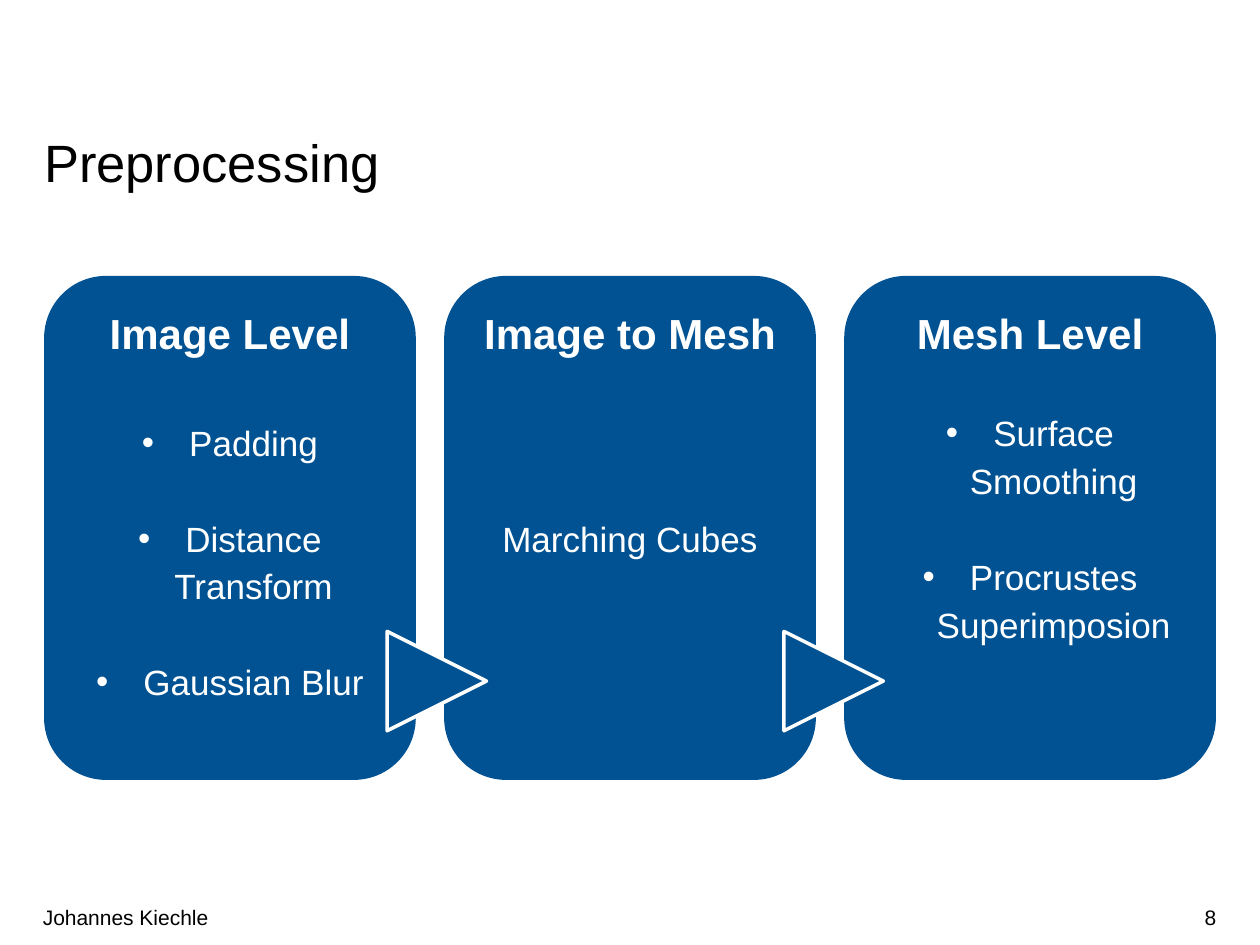
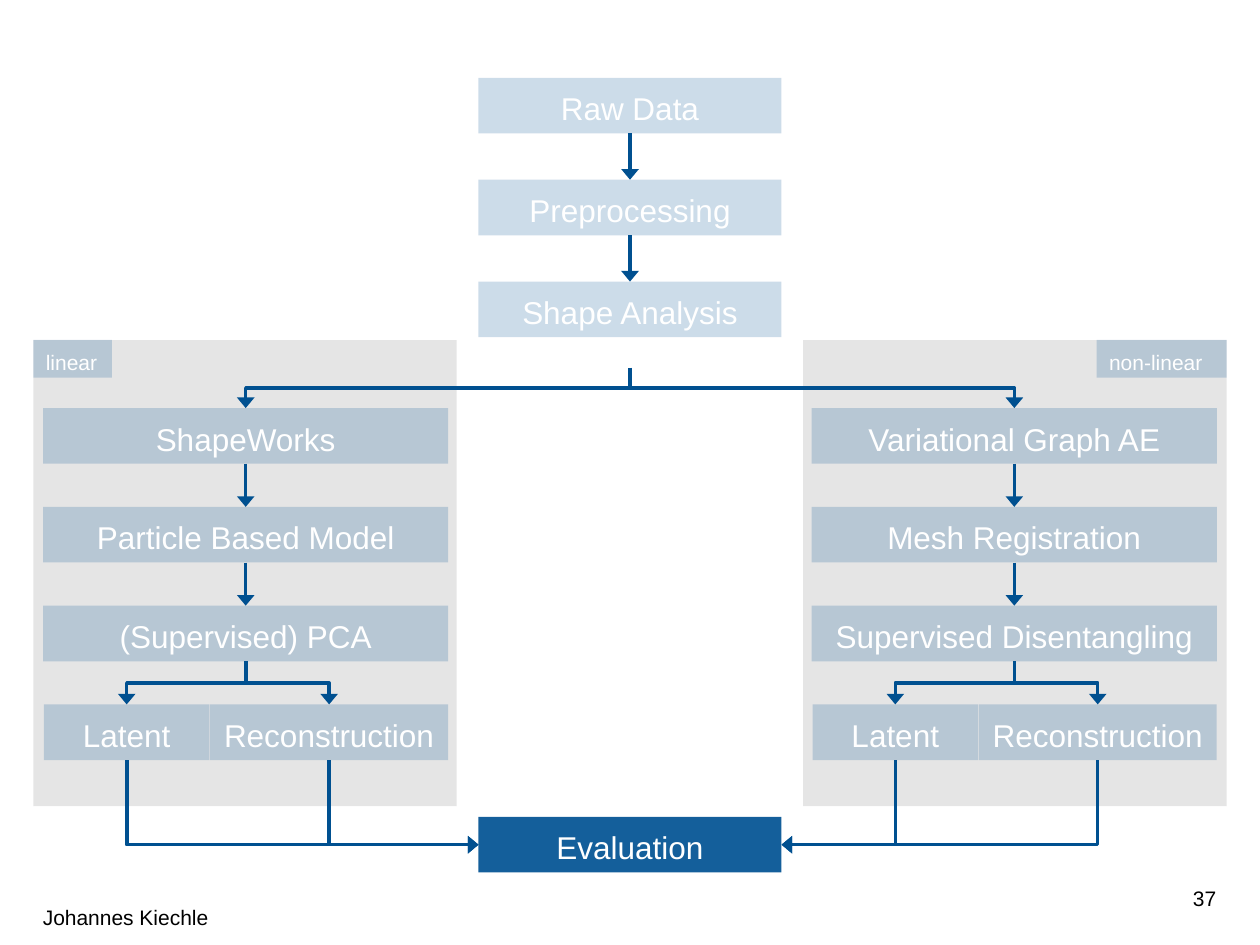
from dataclasses import dataclass
from itertools import pairwise

from lxml.etree import SubElement as Sub
from pptx import Presentation
from pptx.dml.color import RGBColor as Rgb
from pptx.enum.shapes import MSO_CONNECTOR as Link, MSO_SHAPE as Form
from pptx.enum.text import MSO_ANCHOR as Anchor, PP_ALIGN as Align
from pptx.oxml.ns import qn
from pptx.util import Pt


@dataclass(frozen=True)
class Theme:
    """Hold the shared colours, font and type sizes."""
    blue: Rgb = Rgb(0x00, 0x52, 0x93)
    wire: Rgb = Rgb(0x00, 0x50, 0x90)
    grey: Rgb = Rgb(0x80, 0x80, 0x80)
    white: Rgb = Rgb(0xFF, 0xFF, 0xFF)
    black: Rgb = Rgb(0, 0, 0)
    face: str = "Arial"
    title: int = 30
    head: int = 24
    body: int = 20
    step: int = 18
    small: int = 12
    lead: float = 1.14
    stroke: int = 2


T = Theme()


def apply(item, values):
    """Set each attribute named in a dict."""
    for key, value in values.items():
        setattr(item, key, value)


def place(item, left, top, width, height):
    """Put an item at a place given in points."""
    apply(item, {"left": Pt(left), "top": Pt(top), "width": Pt(width), "height": Pt(height)})


def write(para, text, size, color=T.white, bold=False, align=Align.CENTER, lead=T.lead, gap=0):
    """Fill one paragraph with styled text."""
    para.text = text
    apply(para, {"alignment": align, "line_spacing": lead, "space_before": Pt(gap)})
    apply(para.font, {"name": T.face, "size": Pt(size), "bold": bold})
    para.font.color.rgb = color


def bullet(para, indent=27):
    """Give a paragraph a hanging bullet."""
    props = para._p.get_or_add_pPr()
    props.set("marL", str(Pt(indent)))
    props.set("indent", str(Pt(-indent)))
    Sub(props, qn("a:buFont")).set("typeface", T.face)
    Sub(props, qn("a:buChar")).set("char", "•")


def block(slide, form, box, color=T.blue, alpha=100):
    """Add a flat filled shape and return it."""
    shape = slide.shapes.add_shape(form, *map(Pt, box))
    shape.shadow.inherit = False
    shape.fill.solid()
    shape.fill.fore_color.rgb = color
    if alpha < 100:
        paint = shape._element.spPr.find(".//" + qn("a:srgbClr"))
        Sub(paint, qn("a:alpha")).set("val", str(alpha * 1000))
    shape.line.fill.background()
    apply(shape.text_frame, {"vertical_anchor": Anchor.TOP, "word_wrap": True})
    return shape


def node(slide, text, box, alpha=20, size=T.step, align=Align.CENTER):
    """Add a flow box with one line of text."""
    shape = block(slide, Form.RECTANGLE, box, alpha=alpha)
    write(shape.text_frame.paragraphs[0], text, size, align=align)


def card(slide, box, head, items, gaps, dots):
    """Add a rounded card with a heading and its items."""
    frame = block(slide, Form.ROUNDED_RECTANGLE, box).text_frame
    write(frame.paragraphs[0], head, T.head, bold=True)
    for item, gap in zip(items, gaps):
        para = frame.add_paragraph()
        if dots:
            bullet(para)
        write(para, item, T.body, gap=gap)


def wedge(slide, box):
    """Add an outlined triangle that points right."""
    shape = block(slide, Form.ISOSCELES_TRIANGLE, box)
    shape.rotation = 90
    shape.line.color.rgb = T.white
    shape.line.width = Pt(T.stroke)


def label(slide, text, box, align):
    """Add one footer text."""
    frame = slide.shapes.add_textbox(*map(Pt, box)).text_frame
    apply(frame, {"word_wrap": True, "vertical_anchor": Anchor.MIDDLE,
                  "margin_left": 0, "margin_right": 0})
    write(frame.paragraphs[0], text, T.small, T.black, align=align, lead=1.0)


def footer(slide, number, top=509.8):
    """Add the author and the page number."""
    label(slide, "Johannes Kiechle", (24.5, 509.8, 509, 28.8), Align.LEFT)
    label(slide, number, (533.5, top, 161.5, 28.8), Align.RIGHT)


def arrow(slide, start, end, kind=Link.STRAIGHT):
    """Add an arrow between two points and return it."""
    link = slide.shapes.add_connector(kind, *map(Pt, start + end))
    link.line.color.rgb = T.wire
    link.line.width = Pt(T.stroke)
    props = link._element.spPr
    tip = Sub(props.find(qn("a:ln")), qn("a:tailEnd"))
    for key, value in {"type": "triangle", "w": "lg", "len": "med"}.items():
        tip.set(key, value)
    Sub(props, qn("a:effectLst"))
    return link


def bend(slide, start, end, form="bentConnector3"):
    """Add an elbow arrow that leaves its start downwards."""
    link = arrow(slide, start, end, Link.ELBOW)
    (x, y), (u, v) = start, end
    long, wide = v - y, abs(u - x)
    place(link, (x + u - long) / 2, (y + v - wide) / 2, long, wide)
    props = link._element.spPr
    props.find(qn("a:prstGeom")).set("prst", form)
    frame = props.find(qn("a:xfrm"))
    frame.attrib.pop("flipH", None)
    frame.set("rot", str((270 if u > x else 90) * 60000))
    if u > x:
        frame.set("flipH", "1")


def stack(slide, names, left, top, width, height, step):
    """Add a column of boxes joined by arrows."""
    tops = [top + i * step for i in range(len(names))]
    for name, y in zip(names, tops):
        node(slide, name, (left, y, width, height))
    mid = left + width / 2
    for y, below in pairwise(tops):
        arrow(slide, (mid, y + height), (mid, below))


def lane(slide, names, shift, fork, goal):
    """Add one branch of the flow, from the fork to the goal."""
    top, high, step = 233.2, 31.8, 56.45
    trunk, last = 140.4 + shift, top + 3 * step
    bend(slide, fork, (trunk, top))
    stack(slide, names, 24.6 + shift, top, 231.6, high, step)
    for name, left, width in (("Latent", 25.1, 94.6), ("Reconstruction", 120, 136.1)):
        node(slide, name, (left + shift, last, width, high))
        mid = left + shift + width / 2
        bend(slide, (trunk, last - step + high), (mid, last))
        bend(slide, (mid, last + high), goal, "bentConnector2")


def steps(deck):
    """Build the slide on preprocessing."""
    slide = deck.slides.add_slide(deck.slide_layouts[5])
    title = slide.shapes.title
    place(title, 25.2, 78.5, 670.3, 32.4)
    apply(title.text_frame, {"margin_left": 0, "margin_top": 0, "margin_right": 0,
                             "margin_bottom": 0, "vertical_anchor": Anchor.TOP})
    write(title.text_frame.paragraphs[0], "Preprocessing", T.title, T.black,
          align=Align.LEFT, lead=Pt(32))
    cards = (
        ("Image Level", ("Padding", "Distance Transform", "Gaussian Blur"), (33, 27.4, 27.4), True),
        ("Image to Mesh", ("Marching Cubes",), (88,), False),
        ("Mesh Level", ("Surface Smoothing", "Procrustes Superimposion"), (27.4, 27.4), True),
    )
    for i, parts in enumerate(cards):
        card(slide, (25.2 + i * 228.6, 157.7, 212.4, 288), *parts)
    for i in range(2):
        wedge(slide, (221.2 + i * 226.8, 360.8, 56.8, 56.8))
    footer(slide, "8")


def flow(deck):
    """Build the slide with the whole pipeline."""
    slide = deck.slides.add_slide(deck.slide_layouts[6])
    edge, wide, full = 19.1, 241.9, 720
    for left in (edge, full - edge - wide):
        block(slide, Form.RECTANGLE, (left, 194.4, wide, 266.2), T.grey, 20)
    footer(slide, "37", 499)
    left, width, high, base = 273.4, 173.2, 31.8, 466.8
    stack(slide, ("Raw Data", "Preprocessing", "Shape Analysis"), left, 44.5, width, high, 58.2)
    node(slide, "Evaluation", (left, base, width, high), 92)
    fork, mid = (full / 2, 210.3), base + high / 2
    lane(slide, ("ShapeWorks", "Particle Based Model", "(Supervised) PCA"),
         0, fork, (left, mid))
    lane(slide, ("Variational Graph AE", "Mesh Registration", "Supervised Disentangling"),
         439.2, fork, (left + width, mid))
    for text, x, w in (("linear", edge, 44.9), ("non-linear", full - edge - 74.2, 74.2)):
        node(slide, text, (x, 194.2, w, 21.6), size=T.small, align=Align.LEFT)


def main():
    """Build and save the deck."""
    deck = Presentation()
    apply(deck, {"slide_width": Pt(720), "slide_height": Pt(540)})
    steps(deck)
    flow(deck)
    deck.save("out.pptx")


if __name__ == "__main__":
    main()
